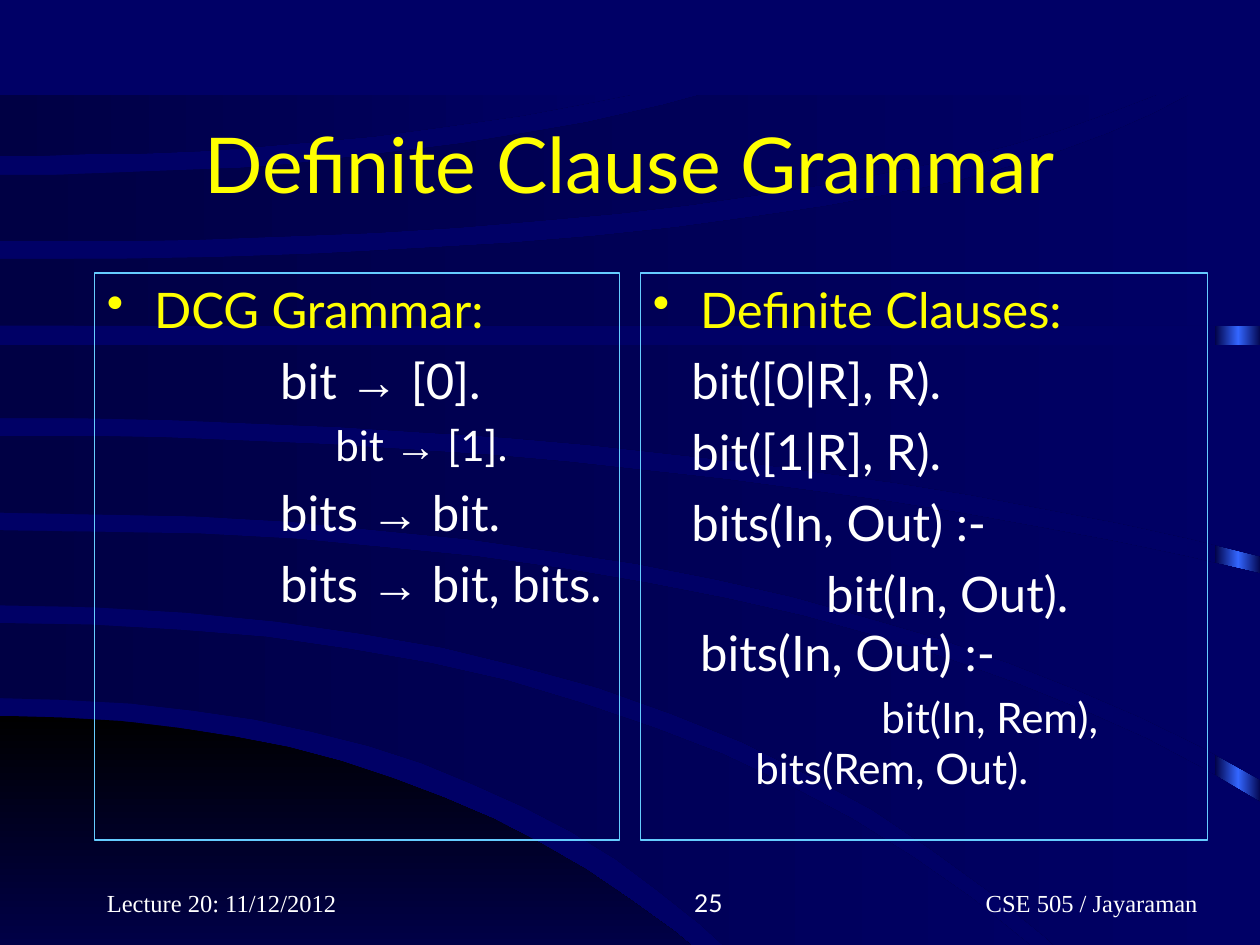
from copy import deepcopy

from pptx import Presentation
from pptx.dml.color import RGBColor
from pptx.enum import shapes, text
from pptx.oxml import ns, xmlchemy
from pptx.util import Pt

NAVY = RGBColor(0x00, 0x00, 0x66)
DARK_NAVY = RGBColor(0x00, 0x00, 0x44)
BLACK = RGBColor(0x00, 0x00, 0x00)
BLUE = RGBColor(0x33, 0x66, 0xFF)
SKY = RGBColor(0x66, 0xCC, 0xFF)
YELLOW = RGBColor(0xFF, 0xFF, 0x00)
WHITE = RGBColor(0xFF, 0xFF, 0xFF)

BODY_FONT = "Lato"
ARROW_FONT = "Arial"
FOOTER_FONT = "Times New Roman"
ARROW = "→"
CURVE_STEPS = 16

# Each edge leaves the left side level: start y, bend x, end x, end y
CORNER = ((409, 281, 453, 595), (595, 226, 453, 595))
BANDS = [
    ((356, 426, 644, 594), (399, 309, 463, 594)),
    ((303, 470, 721, 459), (346, 440, 655, 594)),
    ((249, 380, 721, 328), (293, 457, 721, 446)),
    ((197, 360, 721, 197), (239, 400, 721, 318)),
    ((148, 520, 680, 54), (186, 360, 721, 186)),
    ((100, 230, 401, 54), (138, 460, 661, 54)),
    ((54, 180, 361, 54), (89, 200, 361, 54)),
]

# Kind of line: font size, space before, left margin, first-line indent
HEADING = (28, 0, 27, -27)
CLAUSE = (28, 7, 22, 0)
RULE = (28, 7, 27, 72)
SUBRULE = (24, 6, 58.5, 72)

GRAMMAR = [
    ("DCG Grammar:", HEADING),
    ("bit → [0].", RULE),
    ("bit → [1].", SUBRULE),
    ("bits → bit.", RULE),
    ("bits → bit, bits.", RULE),
]
CLAUSES = [
    ("Definite Clauses:", HEADING),
    ("bit([0|R], R).", CLAUSE),
    ("bit([1|R], R).", CLAUSE),
    ("bits(In, Out) :-", CLAUSE),
    ("bit(In, Out).\vbits(In, Out) :-", RULE),
    ("bit(In, Rem),\vbits(Rem, Out).", SUBRULE),
]


def fill_gradient(shape, colors, angle=0):
    """Fill with evenly spaced colour stops; the angle is counter-clockwise."""
    shape.shadow.inherit = False
    shape.line.fill.background()
    shape.fill.gradient()
    shape.fill.gradient_angle = angle
    stop_list = next(shape.element.iter(ns.qn("a:gsLst")))
    while len(stop_list) < len(colors):
        stop_list.append(deepcopy(stop_list[0]))
    for index, (stop, color) in enumerate(zip(shape.fill.gradient_stops, colors)):
        stop.color.rgb = color
        stop.position = index / (len(colors) - 1)


def trace_edge(start_y, bend_x, end_x, end_y):
    """Points of a quadratic curve that starts level at the left side."""
    points = []
    for step in range(CURVE_STEPS + 1):
        t = step / CURVE_STEPS
        x = 2 * t * (1 - t) * bend_x + t * t * end_x
        y = start_y + t * t * (end_y - start_y)
        points.append((round(x, 2), round(y, 2)))
    return points


def add_band(page, edges, colors, angle=0):
    upper, lower = map(trace_edge, *zip(*[edge for edge in edges]))
    shorter, longer = sorted((upper[-1], lower[-1]))
    corner = (longer[0], shorter[1])
    points = upper + [corner] + lower[::-1]
    builder = page.shapes.build_freeform(*points[0], scale=Pt(1))
    builder.add_line_segments(points[1:], close=True)
    fill_gradient(builder.convert_to_shape(), colors, angle)


def add_backdrop(page):
    page.background.fill.solid()
    page.background.fill.fore_color.rgb = NAVY
    strip = page.shapes.add_shape(
        shapes.MSO_SHAPE.RECTANGLE, Pt(694), Pt(55.5), Pt(27), Pt(540))
    fill_gradient(strip, [DARK_NAVY, BLUE, DARK_NAVY])
    add_band(page, CORNER, [BLACK, NAVY], 270)
    for edges in BANDS:
        add_band(page, edges, [DARK_NAVY, NAVY])


def style_font(font, name, size, color):
    font.name = name
    font.size = Pt(size)
    font.color.rgb = color


def add_label(page, words, area, name, size, color, align, anchor):
    box = page.shapes.add_textbox(*map(Pt, area))
    frame = box.text_frame
    frame.word_wrap = True
    frame.vertical_anchor = anchor
    frame.text = words
    paragraph = frame.paragraphs[0]
    paragraph.alignment = align
    style_font(paragraph.runs[0].font, name, size, color)
    return box


def add_bullet(paragraph, color):
    properties = paragraph._p.get_or_add_pPr()
    bullet_color = xmlchemy.OxmlElement("a:buClr")
    tint = xmlchemy.OxmlElement("a:srgbClr")
    tint.set("val", str(color))
    bullet_color.append(tint)
    bullet = xmlchemy.OxmlElement("a:buChar")
    bullet.set("char", "•")
    properties.extend([bullet_color, bullet])


def write_line(paragraph, words, kind):
    size, space, margin, indent = kind
    paragraph.alignment = text.PP_ALIGN.LEFT
    paragraph.space_before = Pt(space)
    properties = paragraph._p.get_or_add_pPr()
    properties.set("marL", str(Pt(margin)))
    properties.set("indent", str(Pt(indent)))
    if kind is HEADING:
        add_bullet(paragraph, YELLOW)
    before, arrow, after = words.partition(ARROW)
    if arrow:
        for part in (before, arrow, after):
            paragraph.add_run().text = part
    else:
        paragraph.text = words
    color = YELLOW if kind is HEADING else WHITE
    for span in paragraph.runs:
        name = ARROW_FONT if span.text == ARROW else BODY_FONT
        style_font(span.font, name, size, color)


def add_panel(page, left, width, lines):
    box = page.shapes.add_shape(
        shapes.MSO_SHAPE.RECTANGLE, Pt(left), Pt(156), Pt(width), Pt(324))
    box.shadow.inherit = False
    box.fill.background()
    box.line.color.rgb = SKY
    box.line.width = Pt(0.75)
    frame = box.text_frame
    frame.word_wrap = True
    frame.vertical_anchor = text.MSO_ANCHOR.TOP
    for index, (words, kind) in enumerate(lines):
        paragraph = frame.add_paragraph() if index else frame.paragraphs[0]
        write_line(paragraph, words, kind)


def add_footer(page, words, left, width, align, name=FOOTER_FONT):
    return add_label(page, words, (left, 492, width, 36), name, 14, WHITE,
                     align, text.MSO_ANCHOR.BOTTOM)


def main():
    deck = Presentation()
    deck.slide_width, deck.slide_height = Pt(720), Pt(540)
    page = deck.slides.add_slide(deck.slide_layouts[6])
    align = text.PP_ALIGN
    add_backdrop(page)
    add_label(page, "Definite Clause Grammar", (54, 48, 612, 90), BODY_FONT,
              44, YELLOW, align.CENTER, text.MSO_ANCHOR.MIDDLE)
    add_panel(page, 54, 300, GRAMMAR)
    add_panel(page, 366, 324, CLAUSES)
    add_footer(page, "Lecture 20: 11/12/2012", 54, 150, align.LEFT)
    add_footer(page, "25", 270, 150, align.RIGHT, BODY_FONT)
    course = add_footer(page, "CSE 505 / Jayaraman", 474, 228, align.RIGHT)
    course.text_frame.margin_right = Pt(17.5)
    deck.save("out.pptx")


if __name__ == "__main__":
    main()
